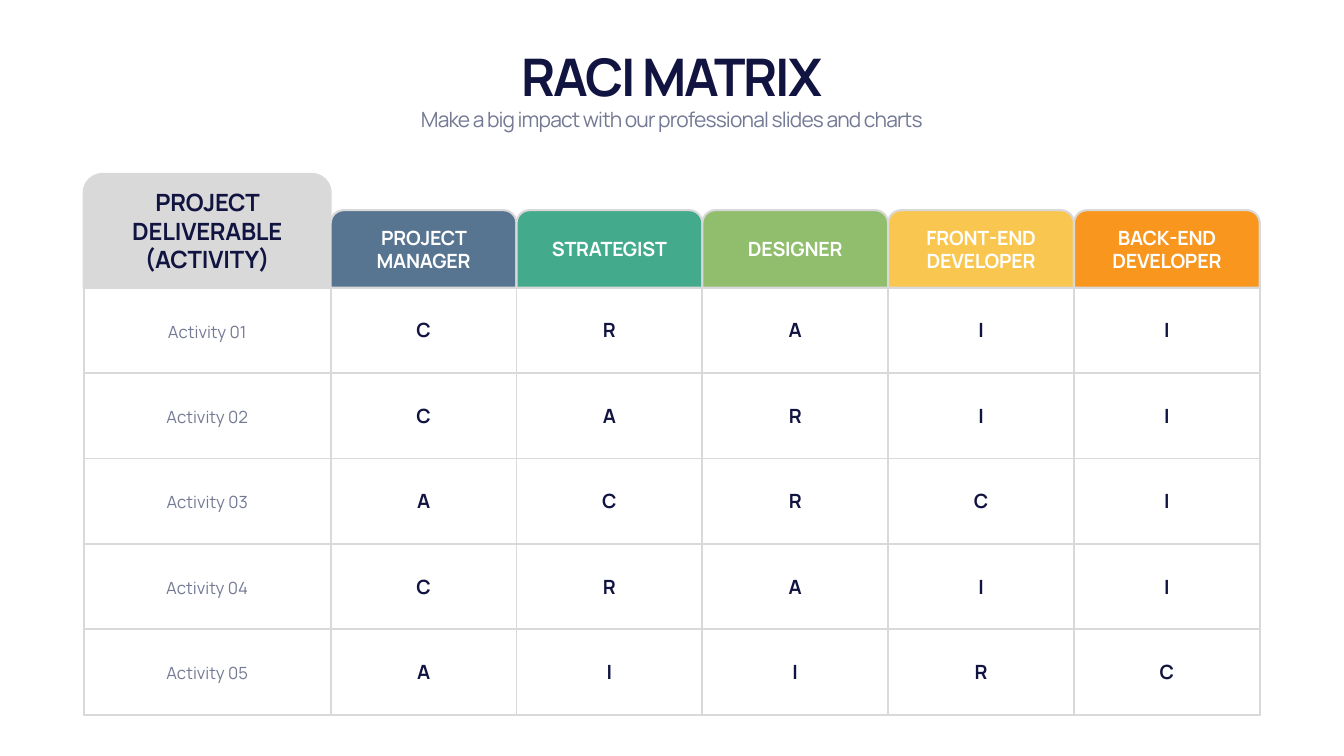
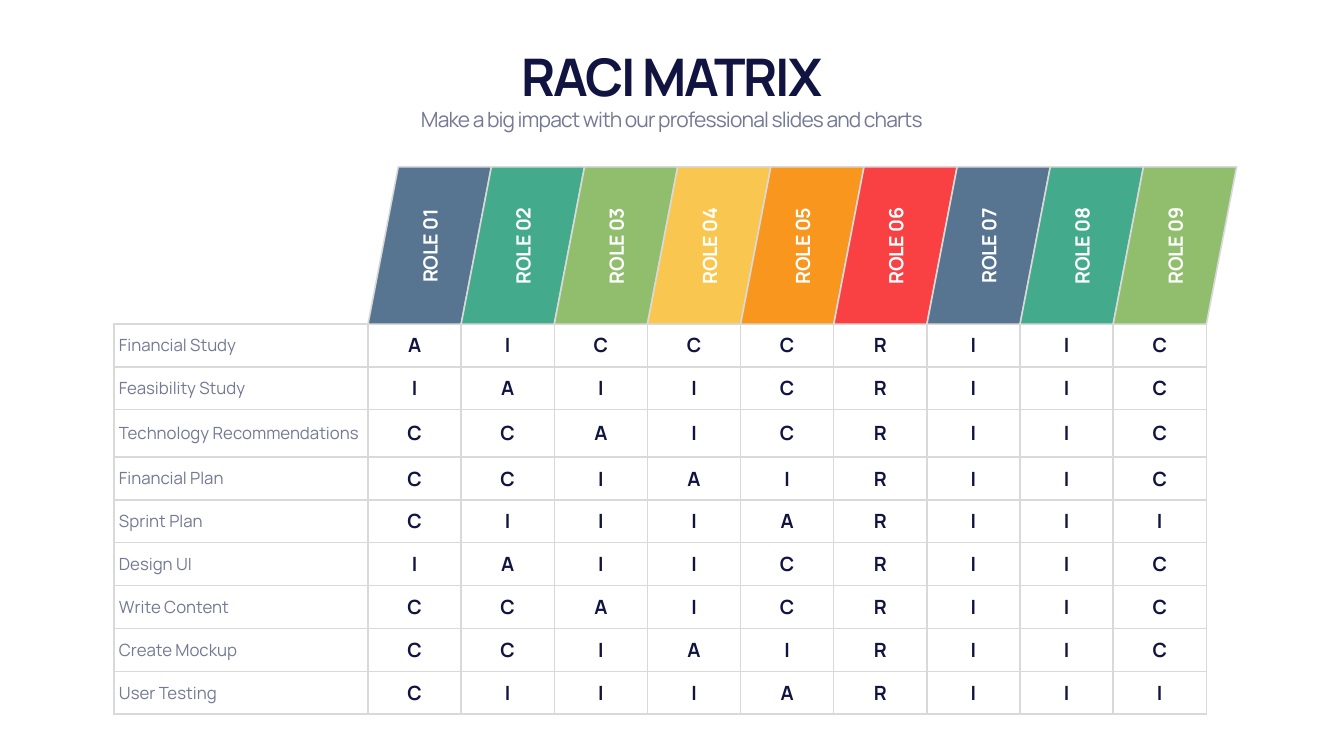
from itertools import cycle

from lxml.etree import SubElement as Sub
from pptx import Presentation
from pptx.dml.color import RGBColor
from pptx.enum.shapes import MSO_SHAPE as Shape
from pptx.enum.text import MSO_ANCHOR as Anchor, MSO_AUTO_SIZE as Auto, PP_ALIGN as Align
from pptx.oxml.ns import qn
from pptx.util import Inches, Pt

# Shared look
WIDE, HIGH = 26.66, 15
FONT = "Manrope"
INK, SOFT, GRID, WHITE = "111340", "747994", "D9D9D9", "FFFFFF"
HUES = ["577590", "43AA8B", "90BE6D", "F9C74F", "F8961E", "F94144"]
LEFT, SPAN = 1.66, 23.33

# First slide: header texts and one letter per role
ROLES = ["PROJECT MANAGER", "STRATEGIST", "DESIGNER",
         "FRONT-END DEVELOPER", "BACK-END DEVELOPER"]
TASKS = [(f"Activity {n:02}", marks) for n, marks in
         enumerate(["CRAII", "CARII", "ACRCI", "CRAII", "AIIRC"], 1)]

# Second slide: steps of the project and one letter per role
STEPS = [
    ("Financial Study", "AICCCRIIC"),
    ("Feasibility Study", "IAIICRIIC"),
    ("Technology Recommendations", "CCAICRIIC"),
    ("Financial Plan", "CCIAIRIIC"),
    ("Sprint Plan", "CIIIARIII"),
    ("Design UI", "IAIICRIIC"),
    ("Write Content", "CCAICRIIC"),
    ("Create Mockup", "CCIAIRIIC"),
    ("User Testing", "CIIIARIII"),
]


def tint(code):
    return RGBColor.from_string(code)


def box(x, y, w, h):
    return [Inches(v) for v in (x, y, w, h)]


def write(para, text, size, color, bold=False, gap=0, align=Align.CENTER):
    """Add one styled run; gap is the letter spacing in points."""
    para.alignment = align
    run = para.add_run()
    run.text = text
    font = run.font
    font.name, font.size, font.bold = FONT, Pt(size), bold
    font.color.rgb = tint(color)
    if gap:
        run._r.get_or_add_rPr().set("spc", str(round(gap * 100)))


def setup(frame, anchor):
    frame.word_wrap = True
    frame.auto_size = Auto.SHAPE_TO_FIT_TEXT
    frame.vertical_anchor = anchor


def paint(shape, fill, width):
    shape.shadow.inherit = False
    shape.fill.solid()
    shape.fill.fore_color.rgb = tint(fill)
    shape.line.color.rgb = tint(GRID)
    shape.line.width = Pt(width)


def label(slide, text, mid, width, lines=1, size=28, color=WHITE, turn=0):
    """Bold text centred on the point mid."""
    high = lines * size * 1.2 / 72 + 0.1
    area = slide.shapes.add_textbox(
        *box(mid[0] - width / 2, mid[1] - high / 2, width, high))
    area.rotation = turn
    setup(area.text_frame, Anchor.MIDDLE)
    write(area.text_frame.paragraphs[0], text, size, color, True, -0.3)


def tab(slide, text, x, y, w, h, fill, **style):
    """Column header with rounded top corners."""
    shape = slide.shapes.add_shape(Shape.ROUND_2_SAME_RECTANGLE, *box(x, y, w, h))
    paint(shape, fill, 3)
    label(slide, text, (x + w / 2, y + h / 2), w * 0.86, **style)


def slant(slide, x, y, w, h, lean, fill):
    """Column header that leans to the right."""
    points = [(x + lean, y), (x + lean + w, y), (x + w, y + h), (x, y + h)]
    first, *rest = [(Inches(a), Inches(b)) for a, b in points]
    form = slide.shapes.build_freeform(*first)
    form.add_line_segments(rest, close=True)
    paint(form.convert_to_shape(), fill, 2.25)


def frame_cell(cell, width):
    props = cell._tc.get_or_add_tcPr()
    for side in ("a:lnL", "a:lnR", "a:lnT", "a:lnB"):
        line = Sub(props, qn(side), w=str(Pt(width)))
        Sub(Sub(line, qn("a:solidFill")), qn("a:srgbClr"), val=GRID)
    cell.fill.background()
    cell.vertical_anchor = Anchor.MIDDLE


def matrix(slide, rows, x, y, cols, highs, width, align, lead=None):
    """Table with a name and one letter per role in each row."""
    table = slide.shapes.add_table(
        len(rows), len(cols), *box(x, y, sum(cols), sum(highs))).table
    table.first_row = table.horz_banding = False
    for col, w in zip(table.columns, cols):
        col.width = Inches(w)
    for row, h, (name, marks) in zip(table.rows, highs, rows):
        row.height = Inches(h)
        for cell, text in zip(row.cells, [name, *marks]):
            frame_cell(cell, width)
            para = cell.text_frame.paragraphs[0]
            if text == name:
                para.line_spacing = lead
                write(para, text, 24, SOFT, align=align)
            else:
                write(para, text, 28, INK, True)


def start(deck):
    """New slide with title and subtitle."""
    slide = deck.slides.add_slide(deck.slide_layouts[5])
    title = slide.shapes.title
    title.left, title.top, title.width, title.height = box(LEFT, 0.82, SPAN, 1.35)
    setup(title.text_frame, Anchor.BOTTOM)
    write(title.text_frame.paragraphs[0], "RACI MATRIX", 74, INK, True, -2.9)
    sub = slide.shapes.add_textbox(*box(LEFT, 2.07, SPAN, 0.61)).text_frame
    setup(sub, Anchor.TOP)
    write(sub.paragraphs[0],
          "Make a big impact with our professional slides and charts", 30, SOFT, gap=-1.2)
    return slide


def tasks(deck):
    slide = start(deck)
    base, lead, tall, low = 5.71, 4.9, 2.26, 1.54
    step = (SPAN - lead) / len(ROLES)
    # Headers
    tab(slide, "PROJECT DELIVERABLE (ACTIVITY)", LEFT, base - tall, lead, tall,
        GRID, lines=3, size=34, color=INK)
    for n, (role, hue) in enumerate(zip(ROLES, HUES)):
        tab(slide, role, LEFT + lead + n * step, base - low, step, low, hue,
            lines=len(role.split()))
    # Body
    matrix(slide, TASKS, LEFT, base, [lead] + [step] * len(ROLES),
           [8.47 / len(TASKS)] * len(TASKS), 3, Align.CENTER, Pt(36))


def steps(deck):
    slide = start(deck)
    left, top, base, lead, lean = 2.26, 3.31, 6.43, 5.04, 0.6
    count = len(STEPS[0][1])
    step = (21.67 - lead) / count
    # Body, with a taller third row
    highs = [0.85] * len(STEPS)
    highs[2] = 0.94
    matrix(slide, STEPS, left, base, [lead] + [step] * count, highs, 2.25, Align.LEFT)
    # Headers
    for n, hue in zip(range(count), cycle(HUES)):
        x = left + lead + n * step
        slant(slide, x, top, step, base - top, lean, hue)
        label(slide, f"ROLE {n + 1:02}", (x + (step + lean) / 2, (top + base) / 2 + 0.01),
              2.91, turn=270)


def main():
    deck = Presentation()
    deck.slide_width, deck.slide_height = Inches(WIDE), Inches(HIGH)
    tasks(deck)
    steps(deck)
    deck.save("out.pptx")


if __name__ == "__main__":
    main()
